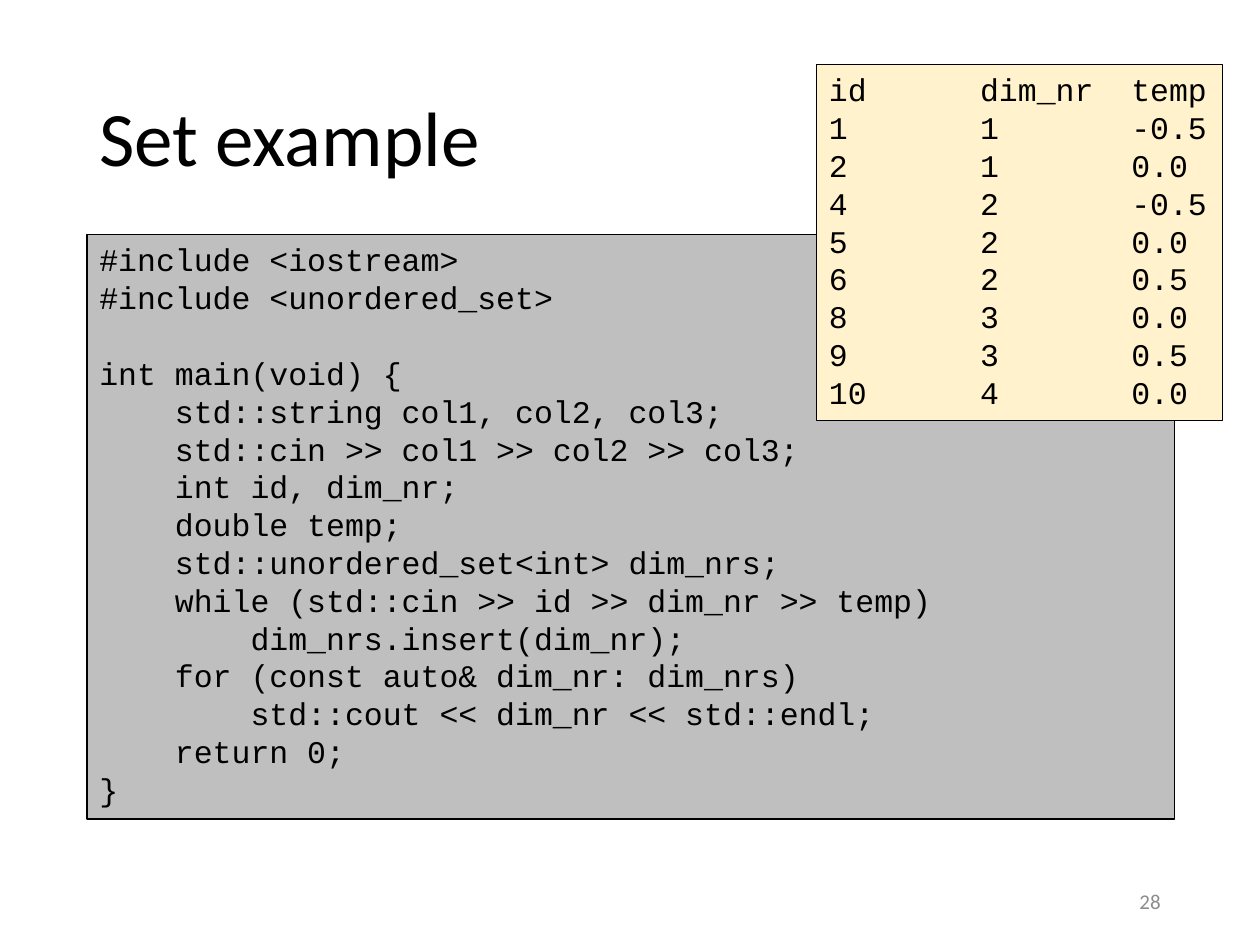
from lxml.etree import SubElement
from pptx import Presentation
from pptx.dml.color import RGBColor
from pptx.enum.shapes import MSO_SHAPE as Shape
from pptx.enum.text import MSO_ANCHOR as Anchor, MSO_AUTO_SIZE as AutoSize, PP_ALIGN as Align
from pptx.oxml.ns import qn
from pptx.util import Inches, Pt

COLOURS = {"ink": "000000", "muted": "8C8C8C", "code": "BFBFBF", "data": "FFF2CC"}
BODY, MONO = "Calibri", "Courier New"
COLUMNS, ROWS = 100, 75
CODE_SIZE = 18
CODE_LINE = 21.7
DATA_TABS = (1.2, 2.4)

CODE = """#include <iostream>
#include <unordered_set>

int main(void) {
    std::string col1, col2, col3;
    std::cin >> col1 >> col2 >> col3;
    int id, dim_nr;
    double temp;
    std::unordered_set<int> dim_nrs;
    while (std::cin >> id >> dim_nr >> temp)
        dim_nrs.insert(dim_nr);
    for (const auto& dim_nr: dim_nrs)
        std::cout << dim_nr << std::endl;
    return 0;
}"""

DATA = [
    ("id", "dim_nr", "temp"),
    (1, 1, "-0.5"),
    (2, 1, "0.0"),
    (4, 2, "-0.5"),
    (5, 2, "0.0"),
    (6, 2, "0.5"),
    (8, 3, "0.0"),
    (9, 3, "0.5"),
    (10, 4, "0.0"),
]


def rgb(name):
    return RGBColor.from_string(COLOURS[name])


def add_tabs(para, stops):
    tabs = SubElement(para._p.get_or_add_pPr(), qn("a:tabLst"))
    for stop in stops:
        SubElement(tabs, qn("a:tab"), pos=str(Inches(stop)), algn="l")


def write(frame, text, font=BODY, size=CODE_SIZE, colour="ink", align=Align.LEFT,
          anchor=Anchor.MIDDLE, spacing=None, tabs=()):
    """Fill a frame line by line; an empty line becomes space before the next."""
    frame.word_wrap = True
    frame.vertical_anchor = anchor
    para, gap = None, 0
    for line in text.split("\n"):
        if not line:
            gap += CODE_LINE
            continue
        para = frame.add_paragraph() if para else frame.paragraphs[0]
        para.alignment = align
        if spacing:
            para.line_spacing = spacing
        if gap:
            para.space_before = Pt(gap)
            gap = 0
        if tabs:
            add_tabs(para, tabs)
        span = para.add_run()
        span.text = line
        span.font.name, span.font.size = font, Pt(size)
        span.font.color.rgb = rgb(colour)


class SlideBuilder:
    def __init__(self, deck):
        self.deck = deck
        self.page = deck.slides.add_slide(deck.slide_layouts[6])

    def place(self, column, row, columns, rows):
        """Turn grid units into slide lengths."""
        wide, high = self.deck.slide_width / COLUMNS, self.deck.slide_height / ROWS
        return [round(n) for n in (column * wide, row * high, columns * wide, rows * high)]

    def label(self, area, text, **style):
        box = self.page.shapes.add_textbox(*self.place(*area))
        write(box.text_frame, text, **style)

    def listing(self, area, text, fill, **style):
        box = self.page.shapes.add_shape(Shape.RECTANGLE, *self.place(*area))
        box.shadow.inherit = False
        box.fill.solid()
        box.fill.fore_color.rgb = rgb(fill)
        box.line.color.rgb = rgb("ink")
        box.line.width = Pt(0.75)
        write(box.text_frame, text, font=MONO, anchor=Anchor.TOP, **style)
        box.text_frame.auto_size = AutoSize.SHAPE_TO_FIT_TEXT


def main():
    deck = Presentation()
    deck.slide_width, deck.slide_height = Inches(10), Inches(7.5)
    slide = SlideBuilder(deck)
    slide.label((6.9, 4, 86.2, 14.5), "Set example", size=44, spacing=0.9)
    slide.label((70.6, 69.5, 22.5, 4), "28", size=12, colour="muted", align=Align.RIGHT)
    slide.listing((6.9, 18.6, 86.3, 46.4), CODE, "code")
    rows = "\n".join("\t".join(map(str, row)) for row in DATA)
    slide.listing((64.8, 5.1, 32.2, 28.3), rows, "data", tabs=DATA_TABS)
    deck.save("out.pptx")


if __name__ == "__main__":
    main()
